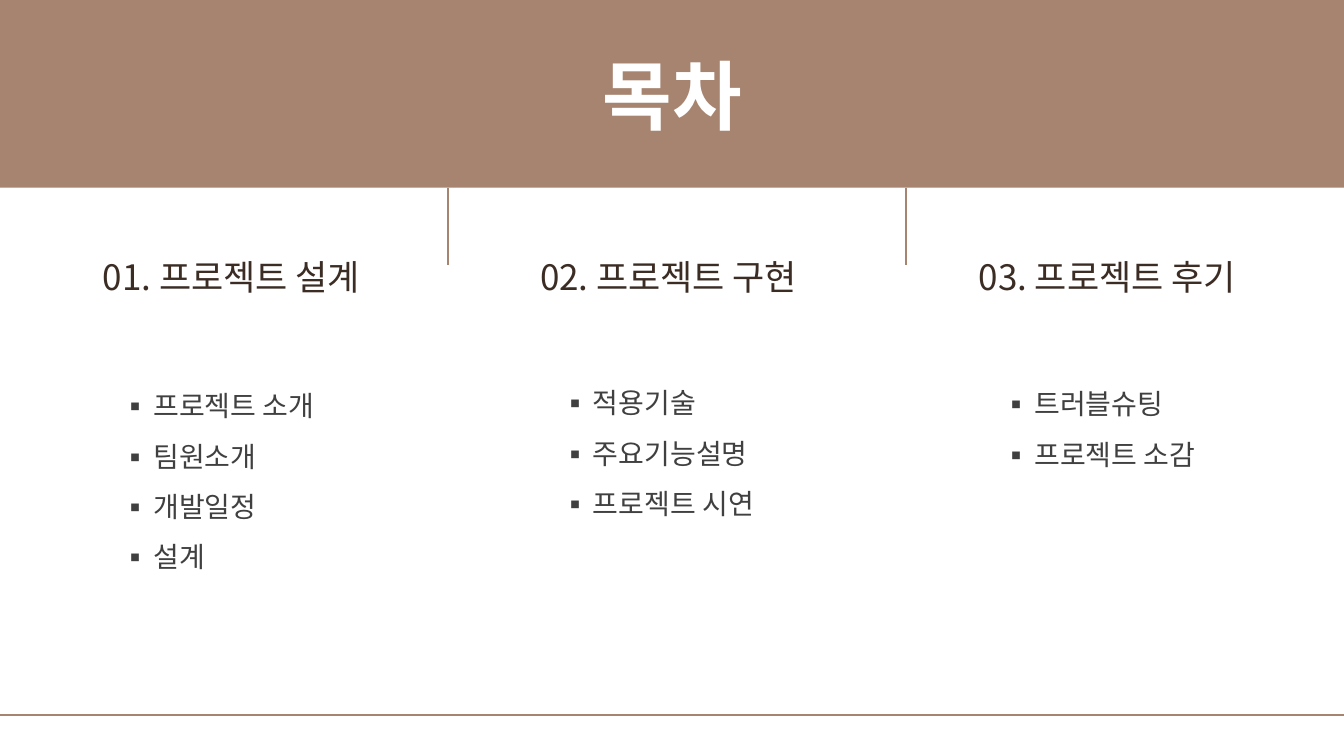
import pptx
import pptx.util
import pptx.dml.color
import pptx.enum.shapes
import pptx.enum.text
import pptx.oxml
import pptx.oxml.ns

Pt = pptx.util.Pt
BROWN = "A78470"
FONT = "Noto Sans CJK KR"
WIDTH, HEIGHT = 960, 540
BANNER_HEIGHT = 134

TITLE = {"size": Pt(54), "bold": True, "color": "FFFFFF"}
HEADING = {"size": Pt(25), "color": "3B2C24"}
TOPIC = {"size": Pt(20), "color": "404040"}

SECTIONS = [
    ("01. 프로젝트 설계", (66.3, 179.3, 236.9, 37.4),
     ["프로젝트 소개", "팀원소개", "개발일정", "설계"], (80, 262.1, 214.6, 148.3)),
    ("02. 프로젝트 구현", (378.7, 179.3, 247, 37.4),
     ["적용기술", "주요기능설명", "프로젝트 시연"], (393.9, 260, 230.4, 112.3)),
    ("03. 프로젝트 후기", (692, 179.3, 242.6, 37.4),
     ["트러블슈팅", "프로젝트 소감"], (709.2, 260.7, 214.6, 124.6)),
]


def rgb(value):
    return pptx.dml.color.RGBColor.from_string(value)


def add_xml(parent, tag, **attributes):
    element = pptx.oxml.parse_xml(f"<a:{tag} {pptx.oxml.ns.nsdecls('a')}/>")
    for key, value in attributes.items():
        element.set(key, value)
    parent.append(element)


def write(paragraph, words, style):
    run = paragraph.add_run()
    run.text = words
    for key, value in {"name": FONT, **style}.items():
        if key == "color":
            run.font.color.rgb = rgb(value)
        else:
            setattr(run.font, key, value)
    add_xml(run.font._element, "ea", typeface=FONT)


def add_rule(slide, x1, y1, x2, y2):
    rule = slide.shapes.add_connector(
        pptx.enum.shapes.MSO_CONNECTOR.STRAIGHT, Pt(x1), Pt(y1), Pt(x2), Pt(y2))
    rule.line.color.rgb = rgb(BROWN)
    rule.line.width = Pt(1.5)
    add_xml(rule._element.spPr, "effectLst")


def add_banner(slide, words):
    banner = slide.shapes.add_shape(
        pptx.enum.shapes.MSO_SHAPE.RECTANGLE, 0, 0, Pt(WIDTH), Pt(BANNER_HEIGHT))
    banner.shadow.inherit = False
    banner.fill.solid()
    banner.fill.fore_color.rgb = rgb(BROWN)
    banner.line.fill.background()
    frame = banner.text_frame
    layout = {"word_wrap": True, "margin_top": Pt(33.8), "margin_bottom": Pt(33.8),
              "vertical_anchor": pptx.enum.text.MSO_ANCHOR.MIDDLE}
    for key, value in layout.items():
        setattr(frame, key, value)
    frame.paragraphs[0].alignment = pptx.enum.text.PP_ALIGN.CENTER
    write(frame.paragraphs[0], words, TITLE)


def add_text(slide, box, lines, style, bulleted=False):
    frame = slide.shapes.add_textbox(*map(Pt, box)).text_frame
    frame.word_wrap = True
    frame.auto_size = pptx.enum.text.MSO_AUTO_SIZE.SHAPE_TO_FIT_TEXT
    for index, words in enumerate(lines):
        paragraph = frame.add_paragraph() if index else frame.paragraphs[0]
        if bulleted:
            paragraph.line_spacing = 1.5
            properties = paragraph._p.get_or_add_pPr()
            properties.set("marL", str(Pt(22.5)))
            properties.set("indent", str(-Pt(22.5)))
            add_xml(properties, "buFont", typeface=FONT)
            add_xml(properties, "buChar", char="▪")
        write(paragraph, words, style)


def main():
    deck = pptx.Presentation()
    deck.slide_width, deck.slide_height = Pt(WIDTH), Pt(HEIGHT)
    slide = deck.slides.add_slide(deck.slide_layouts[6])
    add_rule(slide, 0, 511, WIDTH, 511)
    for divider in (320, 647):
        add_rule(slide, divider, BANNER_HEIGHT, divider, 189)
    add_banner(slide, "목차")
    for heading, heading_box, topics, topics_box in SECTIONS:
        add_text(slide, heading_box, [heading], HEADING)
        add_text(slide, topics_box, topics, TOPIC, bulleted=True)
    deck.save("out.pptx")


if __name__ == "__main__":
    main()
